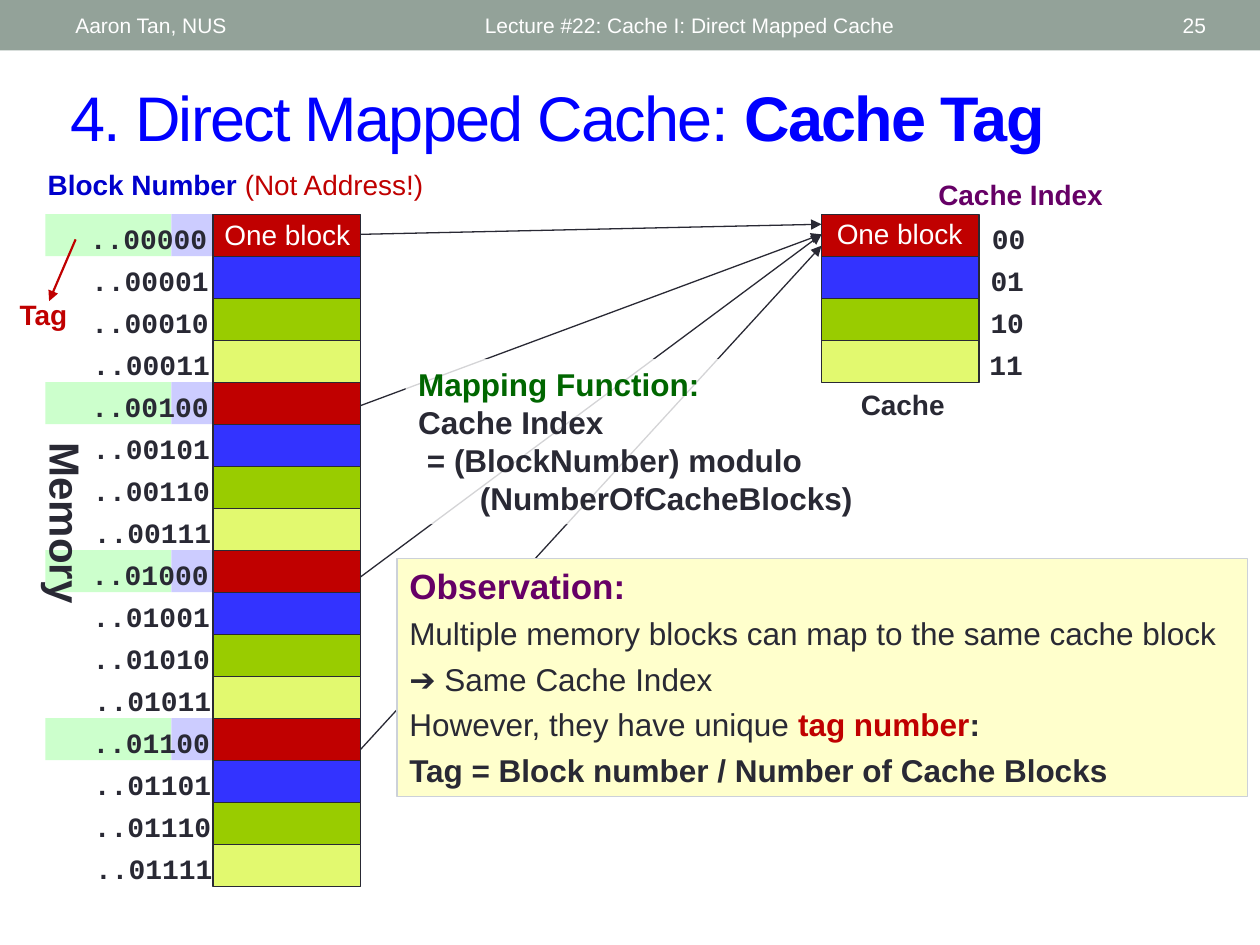
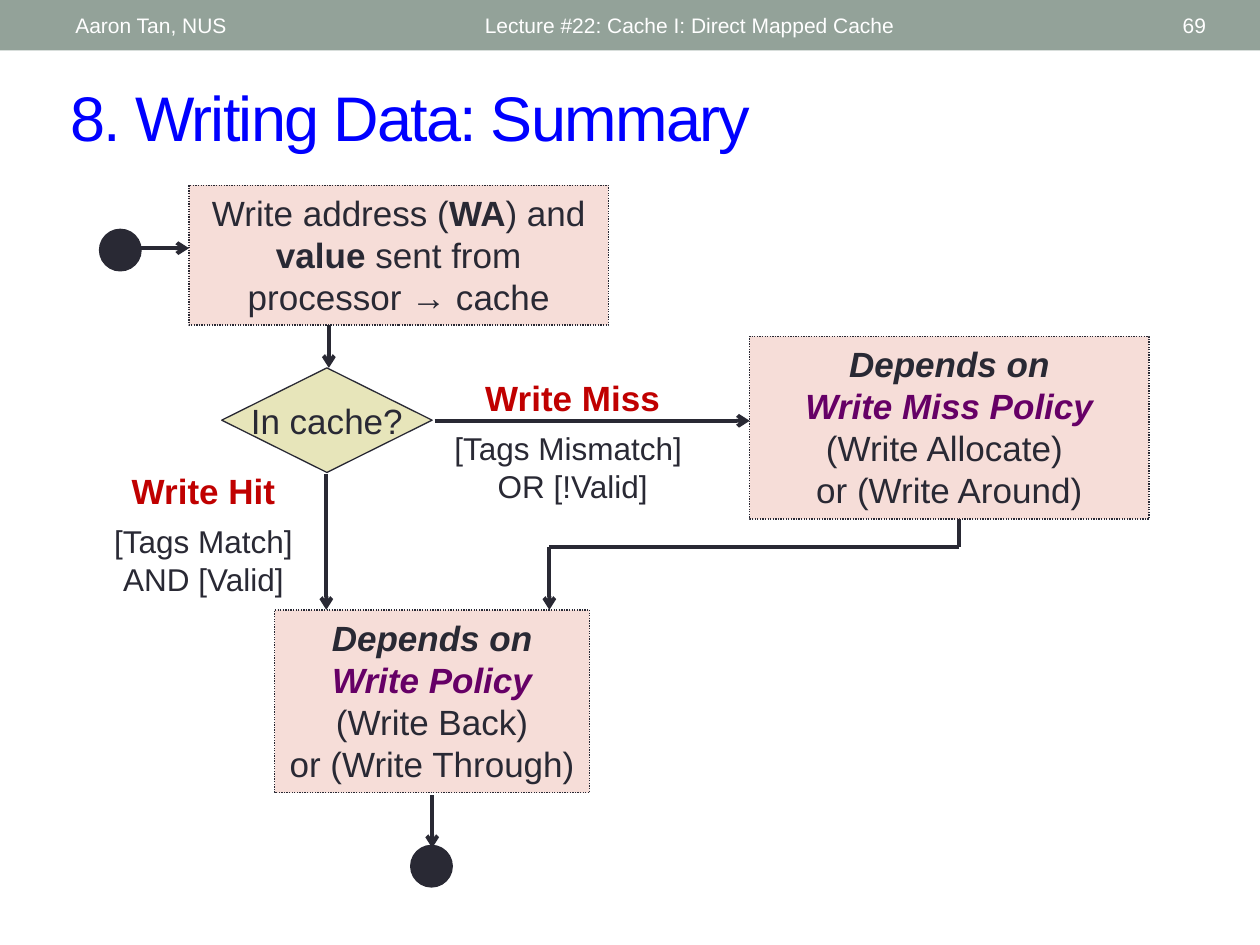
from dataclasses import dataclass
from typing import Any, NamedTuple, Optional

from lxml.etree import SubElement
from pptx import Presentation
from pptx.dml.color import RGBColor
from pptx.enum.dml import MSO_LINE
from pptx.enum.shapes import MSO_CONNECTOR, MSO_SHAPE
from pptx.enum.text import MSO_ANCHOR, PP_ALIGN
from pptx.oxml.ns import qn
from pptx.slide import Slide
from pptx.util import Inches, Pt


@dataclass(frozen=True)
class Theme:
    ink: str = "292934"
    white: str = "FFFFFF"
    band: str = "93A299"
    title: str = "0000FF"
    red: str = "C00000"
    purple: str = "660066"
    green: str = "006600"
    navy: str = "0000CC"
    note: str = "FFFFCC"
    note_edge: str = "CCD1D9"
    tag_bits: str = "CCFFCC"
    index_bits: str = "CCCCFF"
    step: str = "F6DDD8"
    decision: str = "E7E5BA"
    block_colors: tuple[str, ...] = ("C00000", "3333FF", "99CC00", "E2F96F")
    font: str = "Arial"
    code_font: str = "Courier New"
    title_size: int = 36
    memory_size: int = 24
    heading_size: int = 20
    body_size: int = 18
    label_size: int = 16
    footer_size: int = 12


THEME = Theme()


class Span(NamedTuple):
    text: str
    size: int = THEME.body_size
    color: str = THEME.ink
    bold: bool = False
    italic: bool = False
    font: str = THEME.font
    spacing: int = 0


class Para(NamedTuple):
    spans: tuple[Span, ...]
    align: PP_ALIGN = PP_ALIGN.CENTER
    before: float = 0
    indent: float = 0


@dataclass(frozen=True)
class Box:
    left: float
    top: float
    width: float
    height: float
    paras: tuple[Para, ...] = ()
    shape: Optional[MSO_SHAPE] = None
    fill: Optional[str] = None
    line: Optional[str] = None
    dash: Optional[MSO_LINE] = None
    opacity: int = 100
    anchor: MSO_ANCHOR = MSO_ANCHOR.TOP
    wrap: bool = True
    rotation: int = 0


class Link(NamedTuple):
    start: tuple[float, float]
    end: tuple[float, float]
    width: float = 0.75
    head: Optional[str] = "triangle"
    color: str = THEME.ink


def apply(target: Any, values: dict[str, Any]) -> None:
    for name, value in values.items():
        setattr(target, name, value)


def write_paras(frame: Any, paras: tuple[Para, ...]) -> None:
    for number, para in enumerate(paras):
        paragraph = frame.add_paragraph() if number else frame.paragraphs[0]
        apply(paragraph, {"alignment": para.align,
                          "space_before": Pt(para.before if number else 0)})
        if para.indent:
            paragraph._p.get_or_add_pPr().set("marL", str(Inches(para.indent)))
        for span in para.spans:
            run = paragraph.add_run()
            run.text = span.text
            apply(run.font, {"name": span.font, "size": Pt(span.size),
                             "bold": span.bold, "italic": span.italic})
            run.font.color.rgb = RGBColor.from_string(span.color)
            if span.spacing:
                run._r.get_or_add_rPr().set("spc", str(span.spacing))


def draw_box(slide: Slide, box: Box) -> None:
    frame_at = [Inches(v) for v in (box.left, box.top, box.width, box.height)]
    if box.shape is None:
        item = slide.shapes.add_textbox(*frame_at)
    else:
        item = slide.shapes.add_shape(box.shape, *frame_at)
        item.shadow.inherit = False
        item.fill.solid()
        item.fill.fore_color.rgb = RGBColor.from_string(box.fill)
        if box.opacity < 100:
            color = item._element.spPr.find(qn("a:solidFill"))[0]
            SubElement(color, qn("a:alpha"), val=str(box.opacity * 1000))
        if box.line:
            item.line.color.rgb = RGBColor.from_string(box.line)
            apply(item.line, {"width": Pt(0.75), "dash_style": box.dash})
        else:
            item.line.fill.background()
    item.rotation = box.rotation
    apply(item.text_frame, {"word_wrap": box.wrap, "vertical_anchor": box.anchor})
    write_paras(item.text_frame, box.paras)


def draw_link(slide: Slide, link: Link) -> None:
    ends = [Inches(v) for v in (*link.start, *link.end)]
    connector = slide.shapes.add_connector(MSO_CONNECTOR.STRAIGHT, *ends)
    connector.line.width = Pt(link.width)
    connector.line.color.rgb = RGBColor.from_string(link.color)
    if link.head:
        SubElement(connector.line._get_or_add_ln(), qn("a:tailEnd"), type=link.head)
    SubElement(connector._element.spPr, qn("a:effectLst"))


def rect(left: float, top: float, width: float, height: float, fill: str,
         **options: Any) -> Box:
    return Box(left, top, width, height, shape=MSO_SHAPE.RECTANGLE, fill=fill, **options)


def label(left: float, top: float, width: float, text: str, color: str = THEME.ink,
          bold: bool = True, font: str = THEME.font) -> Box:
    span = Span(text, THEME.label_size, color, bold, font=font)
    return Box(left, top, width, 0.37, (Para((span,)),), wrap=False)


def start_slide(deck: Any, number: str, *title: Span) -> Slide:
    """Add a blank slide with the header band, its three texts and the title."""
    slide = deck.slides.add_slide(deck.slide_layouts[6])
    draw_box(slide, rect(0, 0, 10, 0.4, THEME.band))
    draw_box(slide, Box(0.46, 0.57, 9.21, 0.7, (Para(title, PP_ALIGN.LEFT),),
                        anchor=MSO_ANCHOR.MIDDLE))
    for left, width, text, align in (
        (0.5, 3.17, "Aaron Tan, NUS", PP_ALIGN.LEFT),
        (3.75, 4.5, "Lecture #22: Cache I: Direct Mapped Cache", PP_ALIGN.LEFT),
        (8.72, 0.95, number, PP_ALIGN.RIGHT),
    ):
        span = Span(text, THEME.footer_size, THEME.white)
        draw_box(slide, Box(left, 0.02, width, 0.36, (Para((span,), align),),
                            anchor=MSO_ANCHOR.MIDDLE))
    return slide


def title_span(text: str, bold: bool = False) -> Span:
    return Span(text, THEME.title_size, THEME.title, bold, spacing=-100)


BLOCKS_TOP = 1.7
ROW = 1 / 3
MEMORY_LEFT, MEMORY_WIDTH = 1.69, 1.17
CACHE_LEFT, CACHE_WIDTH = 6.52, 1.25


def draw_blocks(slide: Slide, left: float, width: float, count: int) -> None:
    for row in range(count):
        fill = THEME.block_colors[row % len(THEME.block_colors)]
        draw_box(slide, rect(left, BLOCKS_TOP + row * ROW, width, ROW, fill, line=THEME.ink))


def draw_mapping_notes(slide: Slide) -> None:
    left = PP_ALIGN.LEFT
    mapping = (("Mapping Function:", THEME.green, 0), ("Cache Index", THEME.ink, 0),
               ("= (BlockNumber) modulo", THEME.ink, 0.07),
               ("(NumberOfCacheBlocks)", THEME.ink, 0.49))
    draw_box(slide, rect(3.22, 2.85, 3.97, 1.31, THEME.white, opacity=80, paras=tuple(
        Para((Span(text, color=color, bold=True),), left, indent=indent)
        for text, color, indent in mapping)))
    observation = (
        (Span("Observation:", THEME.heading_size, THEME.purple, True),),
        (Span("Multiple memory blocks can map to the same cache block"),),
        (Span("➔ Same Cache Index"),),
        (Span("However, they have unique "),
         Span("tag number", color=THEME.red, bold=True), Span(":", bold=True)),
        (Span("Tag = Block number / Number of Cache Blocks", bold=True),),
    )
    draw_box(slide, rect(3.15, 4.43, 6.75, 1.89, THEME.note, line=THEME.note_edge,
                         paras=tuple(Para(spans, left, 4.4) for spans in observation)))


def build_cache_tag(deck: Any) -> None:
    slide = start_slide(deck, "25", title_span("4. Direct Mapped Cache: "),
                        title_span("Cache Tag", True))
    memory_right = MEMORY_LEFT + MEMORY_WIDTH
    for start_y, end_y in ((1.86, 1.78), (3.22, 1.86), (4.58, 1.86), (5.95, 1.95)):
        draw_link(slide, Link((memory_right, start_y), (CACHE_LEFT, end_y)))
    draw_mapping_notes(slide)

    for row in range(0, 16, 4):
        top = BLOCKS_TOP + row * ROW
        draw_box(slide, rect(0.36, top, 1, ROW, THEME.tag_bits))
        draw_box(slide, rect(1.36, top, ROW, ROW, THEME.index_bits))
    memory = Span("Memory", THEME.memory_size, bold=True)
    draw_box(slide, Box(-0.22, 3.9, 1.49, 0.5, (Para((memory,)),), wrap=False, rotation=90))

    draw_blocks(slide, MEMORY_LEFT, MEMORY_WIDTH, 16)
    draw_blocks(slide, CACHE_LEFT, CACHE_WIDTH, 4)
    for row in range(16):
        bits = f"{row:05b}"
        draw_box(slide, label(0.61 + 0.01 * bits.count("1"), 1.71 + row * ROW, 1.14,
                              f"..{bits}", font=THEME.code_font))
    for row in range(4):
        bits = f"{row:02b}"
        draw_box(slide, label(7.77 - 0.01 * bits.count("1"), 1.71 + row * ROW, 0.47,
                              bits, font=THEME.code_font))

    block_number = (Span("Block Number ", THEME.label_size, THEME.navy, True),
                    Span("(Not Address!)", THEME.label_size, THEME.red))
    draw_box(slide, Box(0.28, 1.28, 3.28, 0.37, (Para(block_number, PP_ALIGN.LEFT),)))
    for caption in (
        label(1.52, 1.68, 1.52, "One block", THEME.white, False),
        label(6.38, 1.67, 1.52, "One block", THEME.white, False),
        label(7.34, 1.36, 1.52, "Cache Index", THEME.purple),
        label(6.73, 3.03, 0.87, "Cache"),
        label(0.05, 2.31, 0.59, "Tag", THEME.red),
    ):
        draw_box(slide, caption)
    draw_link(slide, Link((0.6, 1.9), (0.39, 2.39), 1.25, color=THEME.red))


def heading(text: str, **style: Any) -> Span:
    return Span(text, THEME.heading_size, **style)


def policy_paras(policy: str, *choices: str) -> tuple[Para, ...]:
    emphasis = {"bold": True, "italic": True}
    spans = (heading("Depends on", **emphasis),
             heading(policy, color=THEME.purple, **emphasis), *map(heading, choices))
    return tuple(Para((span,)) for span in spans)


def outcome_paras(outcome: str, *conditions: str) -> tuple[Para, ...]:
    return (Para((heading(outcome, color=THEME.red, bold=True),)),
            *(Para((Span(text),), before=0 if number else 6)
              for number, text in enumerate(conditions)))


def build_write_summary(deck: Any) -> None:
    slide = start_slide(deck, "69", title_span("8. Writing Data: Summary"))
    for left, top in ((0.79, 1.82), (3.26, 6.71)):
        draw_box(slide, Box(left, top, 0.33, 0.33, shape=MSO_SHAPE.OVAL,
                            fill=THEME.ink, line=THEME.ink))
    request = (heading("Write address ("), heading("WA", bold=True), heading(") and "),
               heading("value", bold=True), heading(" sent from processor → cache"))
    for left, top, width, height, paras in (
        (1.5, 1.47, 3.33, 1.11, (Para(request),)),
        (5.95, 2.67, 3.17, 1.45,
         policy_paras("Write Miss Policy", "(Write Allocate) ", "or (Write Around)")),
        (2.18, 4.84, 2.5, 1.45,
         policy_paras("Write Policy", "(Write Back)", "or (Write Through)")),
    ):
        draw_box(slide, rect(left, top, width, height, THEME.step, paras=paras,
                             line=THEME.ink, dash=MSO_LINE.ROUND_DOT))
    draw_box(slide, Box(1.76, 2.92, 1.67, 0.83, (Para((heading("In cache?"),)),),
                        MSO_SHAPE.DIAMOND, THEME.decision, THEME.ink,
                        anchor=MSO_ANCHOR.MIDDLE, wrap=False))
    for start, end, head in (
        ((1.11, 1.97), (1.5, 1.97), "arrow"),
        ((3.45, 3.34), (5.95, 3.34), "arrow"),
        ((2.61, 2.58), (2.61, 2.92), "arrow"),
        ((2.59, 3.76), (2.59, 4.84), "arrow"),
        ((7.61, 4.12), (7.61, 4.34), None),
        ((7.61, 4.34), (4.36, 4.34), None),
        ((4.36, 4.34), (4.36, 4.84), "arrow"),
        ((3.43, 6.31), (3.43, 6.73), "arrow"),
    ):
        draw_link(slide, Link(start, end, 2.25, head))
    draw_box(slide, Box(0.78, 3.68, 1.67, 1.13,
                        outcome_paras("Write Hit", "[Tags Match]", "AND [Valid]")))
    draw_box(slide, Box(3.46, 2.94, 2.17, 1.13,
                        outcome_paras("Write Miss", "[Tags Mismatch] ", "OR [!Valid]")))


def main() -> None:
    deck = Presentation()
    apply(deck, {"slide_width": Inches(10), "slide_height": Inches(7.5)})
    build_cache_tag(deck)
    build_write_summary(deck)
    deck.save("out.pptx")


if __name__ == "__main__":
    main()
